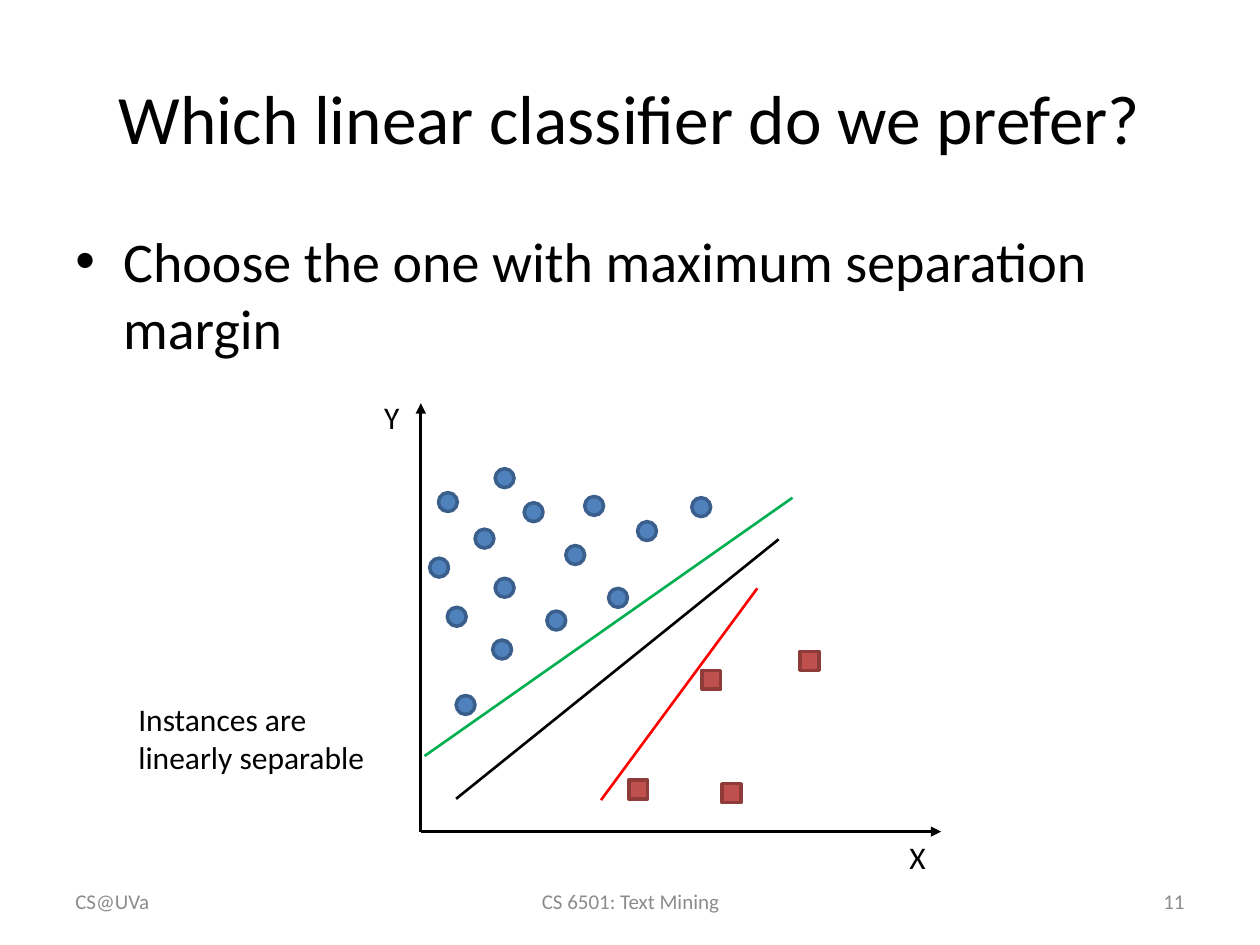
"""Build the slide on choosing a linear classifier by its separation margin."""
from lxml import etree
from pptx import Presentation, util as u
from pptx.dml.color import RGBColor
from pptx.enum import shapes, text
from pptx.oxml import ns

THEME = {
    "font": "Calibri",
    "ink": "000000", "muted": "8C8C8C", "green": "00B050", "red": "FF0000",
    "circle": ("4F81BD", "3A5F8C"), "square": ("C0504D", "8E3B39"),
    "title": 39.6, "body": 32, "label": 18, "footer": 12,
    "line": 1.5, "outline": 2,
}
LEFT, CENTER, RIGHT = (text.PP_ALIGN.LEFT, text.PP_ALIGN.CENTER, text.PP_ALIGN.RIGHT)
TOP, MIDDLE = text.MSO_ANCHOR.TOP, text.MSO_ANCHOR.MIDDLE

presentation = Presentation()
presentation.slide_width, presentation.slide_height = u.Inches(10), u.Inches(7.5)
slide = presentation.slides.add_slide(presentation.slide_layouts[6])
column = presentation.slide_width / 100
row = presentation.slide_height / 75


def add_text(parent, content, box, size, color="ink", align=LEFT, anchor=TOP):
    left, top, width, height = box
    shape = parent.add_textbox(*map(int, (left * column, top * row, width * column, height * row)))
    frame = shape.text_frame
    paragraph = frame.paragraphs[0]
    run = paragraph.add_run()
    run.text = content
    run.font.color.rgb = RGBColor.from_string(THEME[color])
    formats = {
        frame: {"word_wrap": True, "vertical_anchor": anchor},
        paragraph: {"alignment": align},
        run.font: {"name": THEME["font"], "size": u.Pt(THEME[size])},
    }
    for target, values in formats.items():
        for name, value in values.items():
            setattr(target, name, value)
    return paragraph


def add_line(parent, start, end, color, arrow=False):
    ends = [int(value) for x, y in (start, end) for value in (x * column, y * row)]
    connector = parent.add_connector(shapes.MSO_CONNECTOR.STRAIGHT, *ends)
    connector.line.width = u.Pt(THEME["line"])
    connector.line.color.rgb = RGBColor.from_string(THEME[color])
    if arrow:
        etree.SubElement(connector.line._get_or_add_ln(), ns.qn("a:tailEnd"), type="triangle")
    etree.SubElement(connector._element.spPr, ns.qn("a:effectLst"))


add_text(slide.shapes, "Which linear classifier do we prefer?", (5, 3, 90, 12.5),
         "title", align=CENTER, anchor=MIDDLE)
bullet = add_text(slide.shapes, "Choose the one with maximum separation margin",
                  (5, 17.5, 90, 49.5), "body")
properties = bullet._p.get_or_add_pPr()
for name, inches in {"marL": 0.38, "indent": -0.38}.items():
    properties.set(name, str(u.Inches(inches)))
etree.SubElement(properties, ns.qn("a:buFont"), typeface="Arial")
etree.SubElement(properties, ns.qn("a:buChar"), char="•")

footers = [
    ("CS@UVa", 5, 23.3, LEFT),
    ("CS 6501: Text Mining", 34.2, 31.7, CENTER),
    ("11", 71.7, 23.3, RIGHT),
]
for content, left, width, align in footers:
    add_text(slide.shapes, content, (left, 69.5, width, 4), "footer", "muted", align, MIDDLE)

plot = slide.shapes.add_group_shape().shapes
origin = (33.4, 66)
for axis_end in ((74.7, 66), (33.4, 32)):
    add_line(plot, origin, axis_end, "ink", arrow=True)
for content, left, top in (("Y", 29.5, 31.1), ("X", 71.2, 66)):
    add_text(plot, content, (left, top, 6, 4), "label")

marker_size = 1.5
instances = {
    "circle": (shapes.MSO_SHAPE.OVAL, [
        (39.1, 50.8), (35.5, 48.2), (39.3, 45.9), (43.4, 48.5), (41.6, 39.9),
        (36.2, 55.2), (50.6, 41.4), (44.9, 43.3), (37.7, 42), (46.4, 39.4),
        (39.3, 37.2), (48.3, 46.7), (34.8, 39.1), (34.1, 44.3), (54.9, 39.5)]),
    "square": (shapes.MSO_SHAPE.RECTANGLE, [
        (55.7, 53.2), (63.5, 51.7), (57.3, 62.2), (49.9, 61.9)]),
}
for kind, (preset, positions) in instances.items():
    fill, outline = map(RGBColor.from_string, THEME[kind])
    for left, top in positions:
        shape = plot.add_shape(preset, *map(int, (
            left * column, top * row, marker_size * column, marker_size * row)))
        shape.shadow.inherit = False
        shape.fill.solid()
        shape.fill.fore_color.rgb = fill
        shape.line.color.rgb = outline
        shape.line.width = u.Pt(THEME["outline"])

classifiers = [
    ((33.7, 60), (62.9, 39.5), "green"),
    ((36.2, 63.4), (61.8, 42.8), "ink"),
    ((47.7, 63.5), (60.1, 46.7), "red"),
]
for start, end, color in classifiers:
    add_line(slide.shapes, start, end, color)

add_text(slide.shapes, "Instances are linearly separable", (10, 55.1, 23.3, 7.1), "label")

presentation.save("out.pptx")
